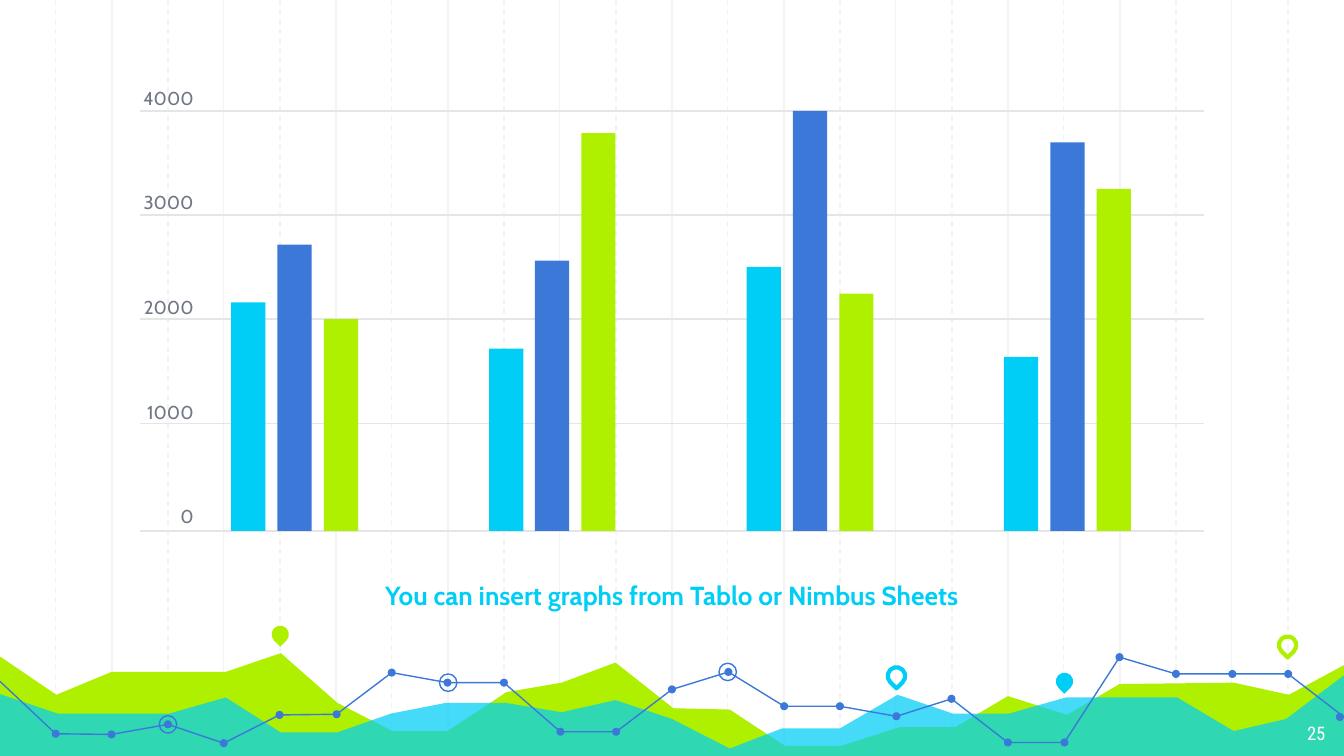
from dataclasses import dataclass
from typing import Optional

from pptx import Presentation
from pptx.dml.color import RGBColor
from pptx.enum.dml import MSO_LINE
from pptx.enum.shapes import MSO_CONNECTOR, MSO_SHAPE
from pptx.enum.text import MSO_ANCHOR, PP_ALIGN
from pptx.oxml.ns import qn
from pptx.util import Emu, Pt
from lxml.etree import SubElement

PX = 4572  # EMU in one px, 200 px to the inch
SLIDE_WIDTH, SLIDE_HEIGHT = 2000, 1125
COLORS = {
    "cyan": "00CEF6", "blue": "3C78D8", "lime": "AFF000", "white": "FFFFFF",
    "guide": "F3F3F3", "grid": "E5E5E5", "label": "707685",
}
Point = tuple[int, int]


@dataclass(frozen=True)
class Area:
    """A filled region from its upper edge down to the slide bottom."""
    color: str
    edge: list[Point]
    opacity: int = 100


@dataclass(frozen=True)
class Pin:
    left: int
    top: int
    color: str
    hollow: bool


@dataclass(frozen=True)
class Series:
    color: str
    heights: list[int]


AREAS = [
    Area("lime", [
        (0, 977), (84, 1034), (166, 1000), (336, 1000), (418, 972), (502, 1046),
        (584, 1088), (666, 1088), (754, 1030), (836, 1016), (916, 986), (1002, 1054),
        (1086, 1056), (1168, 1110), (1252, 1110), (1340, 1082), (1422, 1082),
        (1500, 1036), (1588, 1064), (1666, 1018), (1836, 1016), (1918, 1034),
        (2000, 990)]),
    Area("cyan", [
        (0, 1033), (86, 1062), (252, 1062), (336, 1038), (418, 1090), (502, 1090),
        (582, 1062), (664, 1046), (752, 1046), (836, 1060), (916, 1042), (1000, 1070),
        (1086, 1114), (1164, 1084), (1250, 1084), (1336, 1034), (1418, 1062),
        (1502, 1062), (1586, 1038), (1752, 1038), (1836, 1088), (1914, 1070),
        (2000, 1005)], opacity=73),
]
TREND_PARTS = [
    [(0, 1014), (83, 1092), (166, 1093), (250, 1078), (333, 1106), (416, 1064),
     (501, 1063), (583, 1001), (666, 1016), (750, 1016), (834, 1089), (917, 1089)],
    [(917, 1089), (1000, 1026), (1084, 1000), (1167, 1051), (1250, 1051),
     (1334, 1066), (1416, 1040), (1500, 1105), (1584, 1105), (1666, 978)],
    [(1666, 978), (1750, 1003), (1834, 1003), (1917, 1003), (2000, 1067)],
]
DOT_SIZE = 12
RING_CENTERS = [(667, 1016), (250, 1078), (1083, 1000)]
PINS = [
    Pin(404, 931, "lime", False), Pin(1321, 993, "cyan", True),
    Pin(1571, 1001, "cyan", False), Pin(1903, 947, "lime", True),
]
GRID_TOPS = [165, 320, 475, 630, 790]
BASELINE = GRID_TOPS[-1]
SERIES = [
    Series("cyan", [340, 271, 393, 259]),
    Series("blue", [426, 402, 625, 578]),
    Series("lime", [315, 592, 353, 509]),
]
FIRST_BAR, GROUP_STEP, BAR_STEP, BAR_WIDTH = 344, 383.5, 68.8, 51

deck = Presentation()
deck.slide_width = Emu(SLIDE_WIDTH * PX)
deck.slide_height = Emu(SLIDE_HEIGHT * PX)
page = deck.slides.add_slide(deck.slide_layouts[6])


def px(length: int) -> Emu:
    return Emu(length * PX)


def rgb(name: str) -> RGBColor:
    return RGBColor.from_string(COLORS[name])


def paint(shape, fill: Optional[str] = None, line: Optional[str] = None, weight: float = 0.75) -> None:
    """Set fill and outline; None means no fill or no outline."""
    shape.shadow.inherit = False
    if fill:
        shape.fill.solid()
        shape.fill.fore_color.rgb = rgb(fill)
    else:
        shape.fill.background()
    if line:
        shape.line.color.rgb = rgb(line)
        shape.line.width = Pt(weight)
    else:
        shape.line.fill.background()


def add_preset(kind: MSO_SHAPE, left: int, top: int, width: int, height: int, **style):
    shape = page.shapes.add_shape(kind, px(left), px(top), px(width), px(height))
    paint(shape, **style)
    return shape


def add_circle(center: Point, size: int, **style) -> None:
    x, y = center
    add_preset(MSO_SHAPE.OVAL, x - size // 2, y - size // 2, size, size, **style)


def add_pin(pin: Pin) -> None:
    style = {"line": pin.color, "weight": 2.25} if pin.hollow else {"fill": pin.color}
    add_preset(MSO_SHAPE.TEAR, pin.left, pin.top, 26, 26, **style).rotation = 135


def add_outline(points: list[Point], close: bool, **style):
    builder = page.shapes.build_freeform(*points[0], scale=PX)
    builder.add_line_segments(points[1:], close=close)
    shape = builder.convert_to_shape()
    paint(shape, **style)
    return shape


def add_area(area: Area) -> None:
    corners = [(SLIDE_WIDTH, SLIDE_HEIGHT), (0, SLIDE_HEIGHT)]
    shape = add_outline(area.edge + corners, True, fill=area.color)
    if area.opacity < 100:
        color = shape.fill._xPr.find(qn("a:solidFill"))[0]
        SubElement(color, qn("a:alpha")).set("val", str(area.opacity * 1000))


def add_line(start: Point, end: Point, color: str, dashed: bool = False) -> None:
    line = page.shapes.add_connector(MSO_CONNECTOR.STRAIGHT, *map(px, start + end))
    line.line.color.rgb = rgb(color)
    line.line.width = Pt(0.75)
    if dashed:
        line.line.dash_style = MSO_LINE.DASH
    SubElement(line._element.spPr, qn("a:effectLst"))


def add_text(text: str, left: int, top: int, width: int, height: int, *, font: str, size: int,
             color: str, align: PP_ALIGN, bold: bool = False, inset: int = 20,
             first_gap: float = 0, gap: float = 0) -> None:
    """Add a text box with one paragraph for each line of text."""
    box = page.shapes.add_textbox(px(left), px(top), px(width), px(height))
    frame = box.text_frame
    frame.word_wrap = True
    frame.vertical_anchor = MSO_ANCHOR.TOP
    frame.margin_left = frame.margin_right = px(inset)
    frame.margin_top = frame.margin_bottom = px(inset)
    for index, words in enumerate(text.split("\n")):
        para = frame.add_paragraph() if index else frame.paragraphs[0]
        para.alignment = align
        para.space_before = Pt(gap if index else first_gap)
        span = para.add_run()
        span.text = words
        span.font.name = font
        span.font.size = Pt(size)
        span.font.bold = bold
        span.font.color.rgb = rgb(color)


# Background guides: solid and dashed lines alternate
for first in (2, 1):
    for step in range(first, 24, 2):
        x = round(step * SLIDE_WIDTH / 24)
        add_line((x, 0), (x, SLIDE_HEIGHT), "guide", dashed=first == 1)

# Decorative band along the bottom
for area in AREAS:
    add_area(area)
for pin in PINS:
    add_pin(pin)
for part in TREND_PARTS:
    add_outline(part, False, line="blue")
for part in TREND_PARTS:
    for x, y in part[1:]:
        add_circle((min(x, SLIDE_WIDTH - DOT_SIZE // 2), y), DOT_SIZE, fill="blue")
for center in RING_CENTERS:
    add_circle(center, 26, line="blue")

add_text("You can insert graphs from Tablo or Nimbus Sheets", 100, 842, 1800, 114, font="Cabin",
         size=14, color="cyan", align=PP_ALIGN.CENTER, bold=True, first_gap=3.6)
add_text("25", 1872, 1057, 120, 68, font="Roboto Condensed", size=10, color="white",
         align=PP_ALIGN.RIGHT)

# Bar graph
for top in GRID_TOPS:
    add_line((208, top), (1792, top), "grid")
add_text("4000\n3000\n2000\n1000\n0", 208, 129, 80, 662, font="Cabin", size=10, color="label",
         align=PP_ALIGN.RIGHT, inset=0, gap=44)
for group in range(4):
    for order, series in enumerate(SERIES):
        left = round(FIRST_BAR + group * GROUP_STEP + order * BAR_STEP)
        height = series.heights[group]
        add_preset(MSO_SHAPE.RECTANGLE, left, BASELINE - height, BAR_WIDTH, height,
                   fill=series.color)

deck.save("out.pptx")
